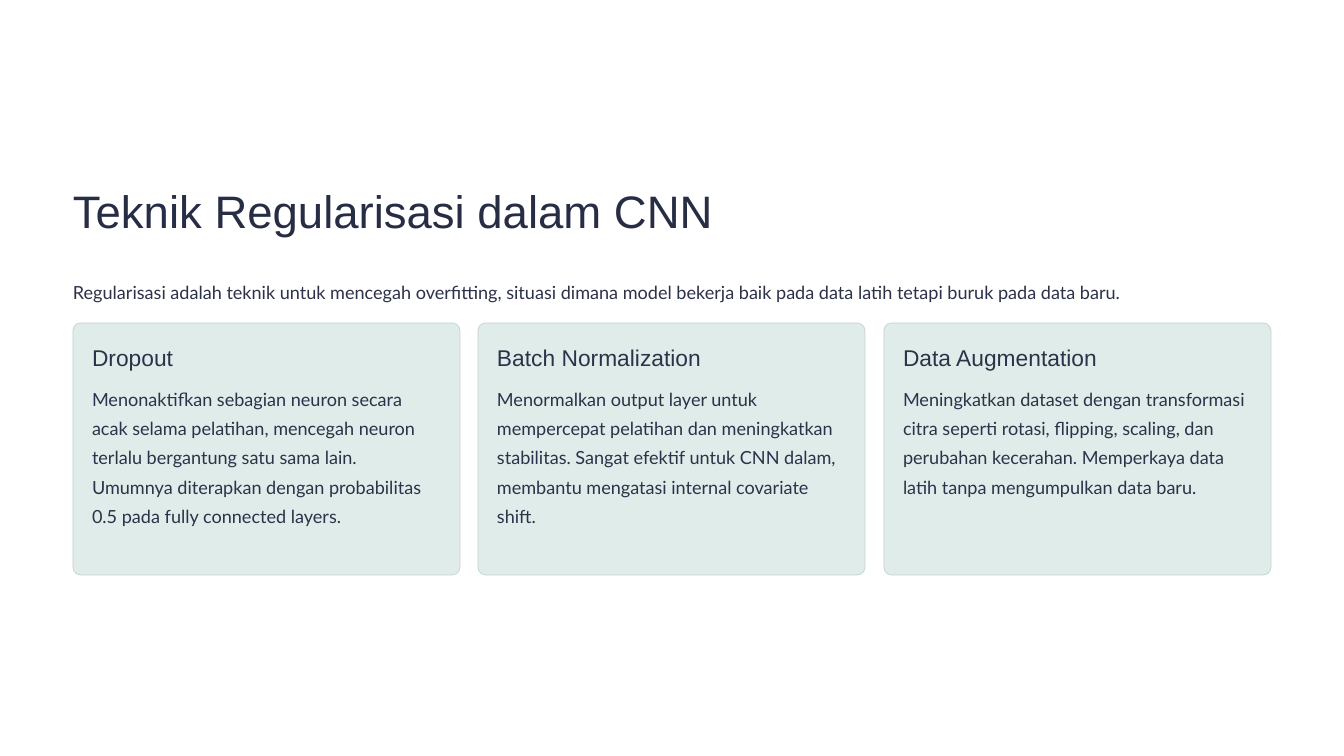
"""Build a slide on CNN regularisation with three cards."""
from dataclasses import dataclass

from pptx import Presentation, util as u
from pptx.dml.color import RGBColor
from pptx.enum import shapes, text

SCALE = 914400 / 84
COLORS = {"page": "FFFFFF", "title": "272D45", "body": "2C3249",
          "card": "DFECE9", "edge": "C5D2CF"}
LEFT, WIDTH = 73, 1198
TOP, CARD_W, CARD_H, PAD = 323, 387, 252, 19


@dataclass(frozen=True)
class Style:
    font: str
    size: float
    line: float
    color: str


@dataclass(frozen=True)
class Card:
    head: str
    body: str


TITLE = Style("Arial", 39, 48.5, "title")
HEAD = Style("Arial", 19.5, 24, "body")
BODY = Style("Lato", 15.5, 25, "body")

CARDS = [
    Card("Dropout",
         "Menonaktifkan sebagian neuron secara acak selama pelatihan, "
         "mencegah neuron terlalu bergantung satu sama lain. Umumnya "
         "diterapkan dengan probabilitas 0.5 pada fully connected layers."),
    Card("Batch Normalization",
         "Menormalkan output layer untuk mempercepat pelatihan dan "
         "meningkatkan stabilitas. Sangat efektif untuk CNN dalam, "
         "membantu mengatasi internal covariate shift."),
    Card("Data Augmentation",
         "Meningkatkan dataset dengan transformasi citra seperti rotasi, "
         "flipping, scaling, dan perubahan kecerahan. Memperkaya data "
         "latih tanpa mengumpulkan data baru."),
]


def px(n: int) -> u.Emu:
    return u.Emu(round(n * SCALE))


def rgb(name: str) -> RGBColor:
    return RGBColor.from_string(COLORS[name])


def write(shape, words: str, style: Style) -> None:
    frame = shape.text_frame
    frame.text = words
    frame.word_wrap = True
    frame.auto_size = text.MSO_AUTO_SIZE.NONE
    frame.vertical_anchor = text.MSO_ANCHOR.TOP
    frame.margin_left = frame.margin_right = 0
    frame.margin_top = frame.margin_bottom = 0
    para = frame.paragraphs[0]
    para.alignment = text.PP_ALIGN.LEFT
    para.line_spacing = u.Pt(style.line)
    font = para.runs[0].font
    font.name, font.size = style.font, u.Pt(style.size)
    font.color.rgb = rgb(style.color)


def label(slide, x: int, y: int, w: int, h: int,
          words: str, style: Style) -> None:
    write(slide.shapes.add_textbox(px(x), px(y), px(w), px(h)), words, style)


def draw(slide, x: int, card: Card) -> None:
    panel = slide.shapes.add_shape(
        shapes.MSO_SHAPE.ROUNDED_RECTANGLE,
        px(x), px(TOP), px(CARD_W), px(CARD_H))
    panel.adjustments[0] = 0.03
    panel.shadow.inherit = False
    panel.fill.solid()
    panel.fill.fore_color.rgb = rgb("card")
    panel.line.color.rgb = rgb("edge")
    panel.line.width = u.Pt(0.6)
    inner = CARD_W - 2 * PAD
    label(slide, x + PAD, TOP + 20, inner, 28, card.head, HEAD)
    label(slide, x + PAD, TOP + 58, inner, 175, card.body, BODY)


def main() -> None:
    deck = Presentation()
    deck.slide_width, deck.slide_height = px(1344), px(756)
    slide = deck.slides.add_slide(deck.slide_layouts[5])
    slide.background.fill.solid()
    slide.background.fill.fore_color.rgb = rgb("page")

    title = slide.shapes.title
    title.left, title.top = px(LEFT), px(181)
    title.width, title.height = px(WIDTH), px(57)
    write(title, "Teknik Regularisasi dalam CNN", TITLE)
    label(slide, LEFT, 274, WIDTH, 29,
          "Regularisasi adalah teknik untuk mencegah overfitting, situasi "
          "dimana model bekerja baik pada data latih tetapi buruk pada "
          "data baru.", BODY)

    for i, card in enumerate(CARDS):
        x = LEFT + i * (WIDTH - CARD_W) // (len(CARDS) - 1)
        draw(slide, x, card)
    deck.save("out.pptx")


if __name__ == "__main__":
    main()
